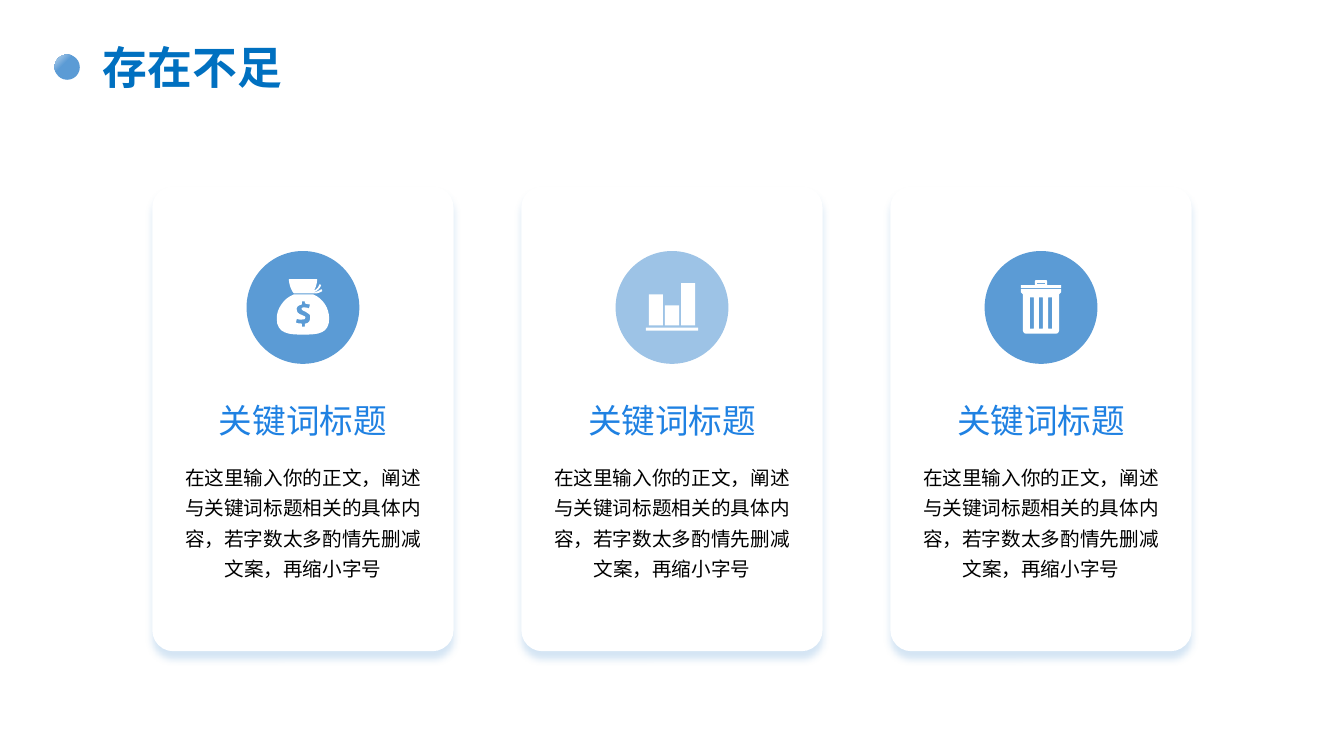
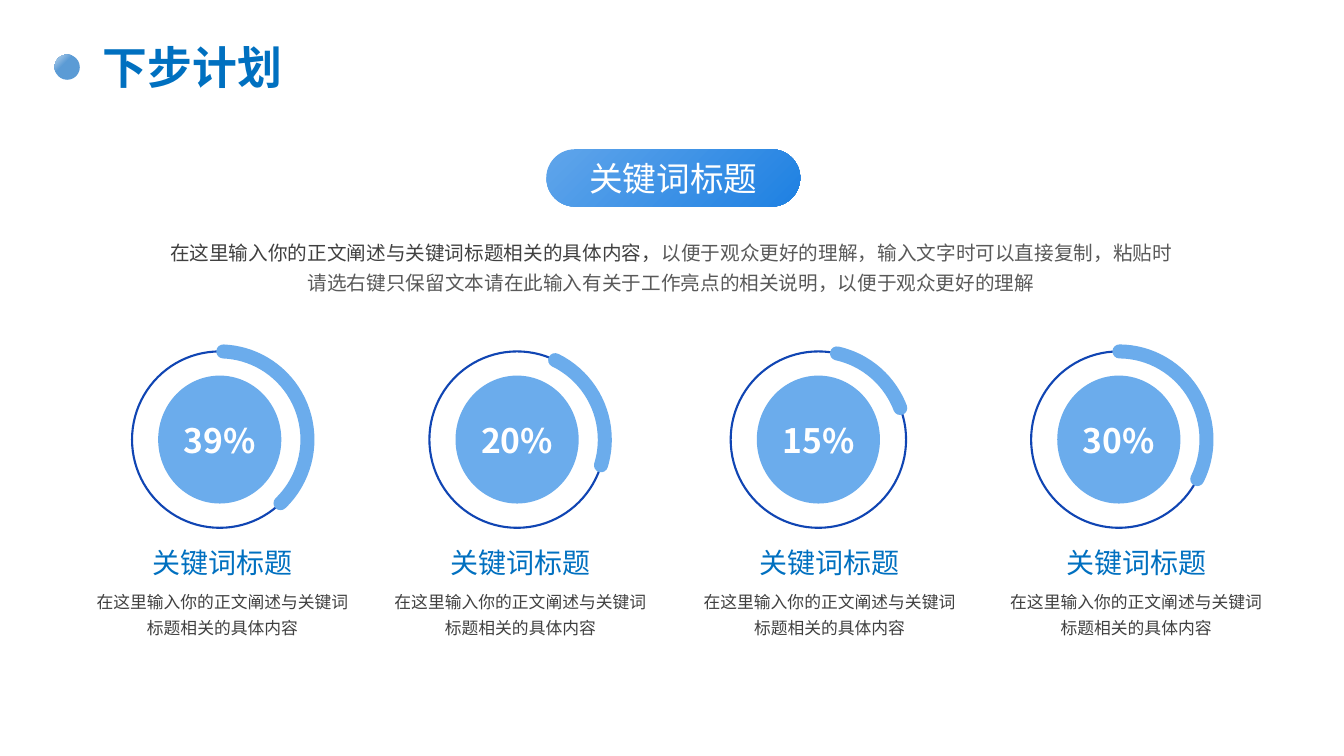
from lxml import etree
from pptx import Presentation
from pptx.dml.color import RGBColor
from pptx.enum.shapes import MSO_SHAPE
from pptx.enum.text import MSO_ANCHOR, MSO_AUTO_SIZE, PP_ALIGN
from pptx.oxml import parse_xml
from pptx.oxml.ns import nsdecls, qn
from pptx.util import Pt

OVAL = MSO_SHAPE.OVAL
ROUND = MSO_SHAPE.ROUNDED_RECTANGLE
ARC = MSO_SHAPE.ARC
LEFT, CENTER = PP_ALIGN.LEFT, PP_ALIGN.CENTER
TOP, MIDDLE = MSO_ANCHOR.TOP, MSO_ANCHOR.MIDDLE
FIXED = MSO_AUTO_SIZE.NONE

FONT = "Noto Sans CJK SC"
WHITE = RGBColor(0xFF, 0xFF, 0xFF)
BLACK = RGBColor(0, 0, 0)
DARK = RGBColor(0x40, 0x40, 0x40)
GREY = RGBColor(0x59, 0x59, 0x59)
BLUE = RGBColor(0x00, 0x70, 0xC0)
BRIGHT = RGBColor(0x1F, 0x81, 0xE2)
STEEL = RGBColor(0x5B, 0x9B, 0xD5)
PALE = RGBColor(0x9D, 0xC3, 0xE6)
MIST = RGBColor(0xBD, 0xD7, 0xEE)
SKY = RGBColor(0x6B, 0xAC, 0xEC)
AZURE = RGBColor(0x5C, 0xA3, 0xEA)
NAVY = RGBColor(0x10, 0x45, 0xB3)

KEY = "关键词标题"
CARD = "在这里输入你的正文，阐述与关键词标题相关的具体内容，若字数太多酌情先删减文案，再缩小字号"
LEAD = "在这里输入你的正文阐述与关键词标题相关的具体内容"
MORE = ("以便于观众更好的理解，输入文字时可以直接复制，粘贴时请选右键只保留文本"
        "请在此输入有关于工作亮点的相关说明，以便于观众更好的理解")


def rect(left, top, right, bottom):
    return f"M {left} {top} L {right} {top} L {right} {bottom} L {left} {bottom} "


# Icon outlines, in hundredths of an inch from the centre of the disc.
BAG = (
    "M 18 -18 C 15 -16 13 -15 11 -15 C 14 -16 17 -19 18 -22 "
    "C 18 -22 17 -23 17 -23 C 17 -23 16 -23 16 -22 C 15 -20 14 -18 11 -17 "
    "C 13 -20 14 -24 14 -28 L -14 -28 C -14 -24 -12 -17 -9 -14 L 11 -14 "
    "C 11 -14 12 -14 13 -14 C 15 -14 17 -15 19 -16 C 19 -16 19 -17 19 -17 "
    "C 19 -18 18 -18 18 -18 "
    "M 10 -13 L -9 -13 C -19 -9 -26 1 -26 11 C -26 26 -14 27 0 27 "
    "C 15 27 26 26 26 11 C 26 1 20 -9 10 -13 "
    "M 7 11 C 7 14 5 16 2 16 L 2 19 L -1 19 L -1 16 C -1 16 -5 16 -7 15 "
    "L -6 11 C -5 12 -4 12 -2 12 C -1 12 2 12 2 11 C 3 9 2 9 0 8 "
    "C -2 7 -6 6 -6 3 C -7 0 -5 -2 -1 -3 L -1 -6 L 2 -6 L 2 -4 "
    "C 2 -4 5 -3 7 -3 L 6 1 C 4 0 2 0 1 0 C -2 0 -2 2 0 3 "
    "C 2 4 4 5 5 6 C 6 6 8 8 7 11"
)
BARS = (rect(-23, -13, -9, 18) + rect(-7, -2, 7, 18)
        + rect(9, -24, 23, 18) + rect(-26, 20, 26, 23))
BIN = (
    "M -20 -15 L -18 -13 L -18 22 C -18 24 -17 26 -15 26 L 15 26 "
    "C 17 26 18 24 18 22 L 18 -13 L 20 -15 L 20 -18 L -20 -18 "
    + "".join(rect(x, -10, x + 4, 21) for x in (-11, -2, 7))
    + "M 20 -22 L 6 -22 L 6 -25 C 6 -26 6 -27 5 -27 L -5 -27 "
    "C -6 -27 -6 -26 -6 -25 L -6 -22 L -20 -22 L -20 -19 L 20 -19 "
    + rect(-4, -24, 4, -23)
)


def trace(outline):
    """Turn M, L and C commands into contours, with curves cut into chords."""
    words = iter(outline.split())
    loops = []
    for word in words:
        nums = [10 * int(next(words)) for _ in range(6 if word == "C" else 2)]
        pts = list(zip(nums[::2], nums[1::2]))
        if word == "M":
            loops.append(pts)
        elif word == "L":
            loops[-1] += pts
        else:
            ends = [loops[-1][-1]] + pts
            for t in (step / 8 for step in range(1, 9)):
                parts = ((1 - t) ** 3, 3 * t * (1 - t) ** 2,
                         3 * t * t * (1 - t), t ** 3)
                loops[-1].append(tuple(
                    sum(w * p[axis] for w, p in zip(parts, ends))
                    for axis in (0, 1)))
    return loops


class Deck:
    def __init__(self):
        self.prs = Presentation()
        self.prs.slide_width, self.prs.slide_height = Pt(960), Pt(540)
        self.page = None

    def slide(self, title):
        self.page = self.prs.slides.add_slide(self.prs.slide_layouts[5])
        ball = self.shape(OVAL, 39, 39, 18, 18)
        self.glow(ball, [(0, MIST), (38, STEEL), (85, STEEL)], "r", "b")
        head = self.page.shapes.title
        head.left, head.top = Pt(66.2), Pt(28.8)
        head.width, head.height = Pt(158), Pt(42.5)
        self.label(head.text_frame, [(title, BLUE)], 32, True, LEFT, 0.9,
                   MIDDLE, 7.2)

    def label(self, frame, runs, size, bold=False, align=CENTER, lead=1,
              anchor=TOP, inset=0, wrap=True):
        """Fill a frame with one paragraph; runs are (text, colour) pairs."""
        frame.auto_size = FIXED
        frame.word_wrap = wrap
        frame.vertical_anchor = anchor
        frame.margin_left = frame.margin_right = Pt(inset)
        frame.margin_top = frame.margin_bottom = Pt(inset / 2)
        para = frame.paragraphs[0]
        para.alignment, para.line_spacing = align, lead
        font = para.font
        font.size, font.bold, font.name = Pt(size), bold, FONT
        font.color.rgb = runs[0][1]
        etree.SubElement(font._element, qn("a:ea"), typeface=FONT)
        for text, colour in runs:
            run = para.add_run()
            run.text = text
            if colour != runs[0][1]:
                run.font.color.rgb = colour

    def text(self, mid, top, width, height, runs, size, **style):
        """Add a text box centred on mid."""
        box = self.page.shapes.add_textbox(
            Pt(mid - width / 2), Pt(top), Pt(width), Pt(height))
        self.label(box.text_frame, runs, size, **style)

    def shape(self, kind, left, top, width, height, fill=None, line=None,
              weight=1):
        item = self.page.shapes.add_shape(
            kind, Pt(left), Pt(top), Pt(width), Pt(height))
        self.paint(item, fill, line, weight)
        return item

    def paint(self, item, fill=None, line=None, weight=1):
        item.shadow.inherit = False
        if fill is None:
            item.fill.background()
        else:
            item.fill.solid()
            item.fill.fore_color.rgb = fill
        if line is None:
            item.line.fill.background()
        else:
            item.line.color.rgb = line
            item.line.width = Pt(weight)

    def disc(self, x, y, width, height, fill=None, line=None, weight=1):
        """Add an ellipse centred on x, y."""
        return self.shape(OVAL, x - width / 2, y - height / 2, width, height,
                          fill, line, weight)

    def glow(self, item, stops, *sides):
        """Fill with a radial gradient spreading from the corner opposite sides."""
        marks = "".join(
            f'<a:gs pos="{pos * 1000}"><a:srgbClr val="{colour}"/></a:gs>'
            for pos, colour in stops)
        focus = " ".join(f'{side}="100000"' for side in sides)
        props = item._element.spPr
        props.replace(props.find(qn("a:noFill")), parse_xml(
            f'<a:gradFill {nsdecls("a")} rotWithShape="1"><a:gsLst>{marks}'
            f'</a:gsLst><a:path path="circle"><a:fillToRect {focus}/></a:path>'
            '</a:gradFill>'))

    def shade(self, item):
        """Give a soft blue shadow below the shape."""
        item._element.spPr.find(qn("a:effectLst")).append(parse_xml(
            f'<a:outerShdw {nsdecls("a")} blurRad="63500" dist="63500" '
            f'dir="5400000" algn="t" rotWithShape="0"><a:srgbClr val="{STEEL}">'
            '<a:alpha val="25000"/></a:srgbClr></a:outerShdw>'))

    def icon(self, outline, x, y):
        first, *rest = trace(outline)
        pen = self.page.shapes.build_freeform(*first[0], scale=Pt(0.72) / 10)
        pen.add_line_segments(first[1:], close=True)
        for loop in rest:
            pen.move_to(*loop[0])
            pen.add_line_segments(loop[1:], close=True)
        self.paint(pen.convert_to_shape(Pt(x), Pt(y)), WHITE)

    def card(self, mid, colour, outline):
        panel = self.shape(ROUND, mid - 107.6, 133.2, 215.2, 332, WHITE)
        panel.adjustments[0] = 0.07
        self.shade(panel)
        self.disc(mid, 219.6, 80.6, 80.6, colour)
        self.icon(outline, mid, 219.6)
        self.text(mid, 285.8, 121, 29, [(KEY, BRIGHT)], 24, wrap=False)
        self.text(mid, 327.6, 178.6, 86.4, [(CARD, BLACK)], 14, lead=1.3)

    def pill(self, left, top, width, height, text):
        item = self.shape(ROUND, left, top, width, height)
        item.adjustments[0] = 0.5
        self.glow(item, [(1, BRIGHT), (94, AZURE)], "l", "t")
        self.label(item.text_frame, [(text, WHITE)], 24, anchor=MIDDLE,
                   wrap=False)

    def dial(self, x, y, text, start, end):
        """Add a ring with a thick arc; angles are degrees clockwise from east."""
        width, height = 125.3, 126
        self.disc(x, y, width, height, line=NAVY, weight=1.5)
        arc = self.shape(ARC, x - width / 2, y - height / 2, width, height,
                         line=SKY, weight=10)
        arc.adjustments[0], arc.adjustments[1] = start * 0.6, end * 0.6
        arc._element.spPr.find(qn("a:ln")).set("cap", "rnd")
        core = self.disc(x, y, 88, 91.4, SKY)
        self.label(core.text_frame, [(text, WHITE)], 24, True, anchor=MIDDLE,
                   wrap=False)


def main():
    deck = Deck()

    deck.slide("存在不足")
    cards = [(STEEL, BAG), (PALE, BARS), (STEEL, BIN)]
    for num, (colour, outline) in enumerate(cards):
        deck.card(480 + (num - 1) * 263.6, colour, outline)

    deck.slide("下步计划")
    deck.pill(390.2, 106.6, 181.4, 41, KEY)
    deck.text(479.5, 167, 718, 43, [(LEAD + "，", DARK), (MORE, GREY)], 14,
              lead=1.3)
    dials = [
        ("39%", 157, 159, 272.3, 46.3),
        ("20%", 369.4, 371.8, 295.6, 17),
        ("15%", 584.6, 592.6, 282.2, 338.9),
        ("30%", 799.2, 811.6, 270.4, 26.7),
    ]
    for share, x, mid, start, end in dials:
        deck.dial(x, 314, share, start, end)
        deck.text(mid, 389.5, 101, 24.5, [(KEY, BLUE)], 20, wrap=False)
        deck.text(mid, 418.3, 183, 36.7, [(LEAD, DARK)], 12, lead=1.3)

    deck.prs.save("out.pptx")


if __name__ == "__main__":
    main()
